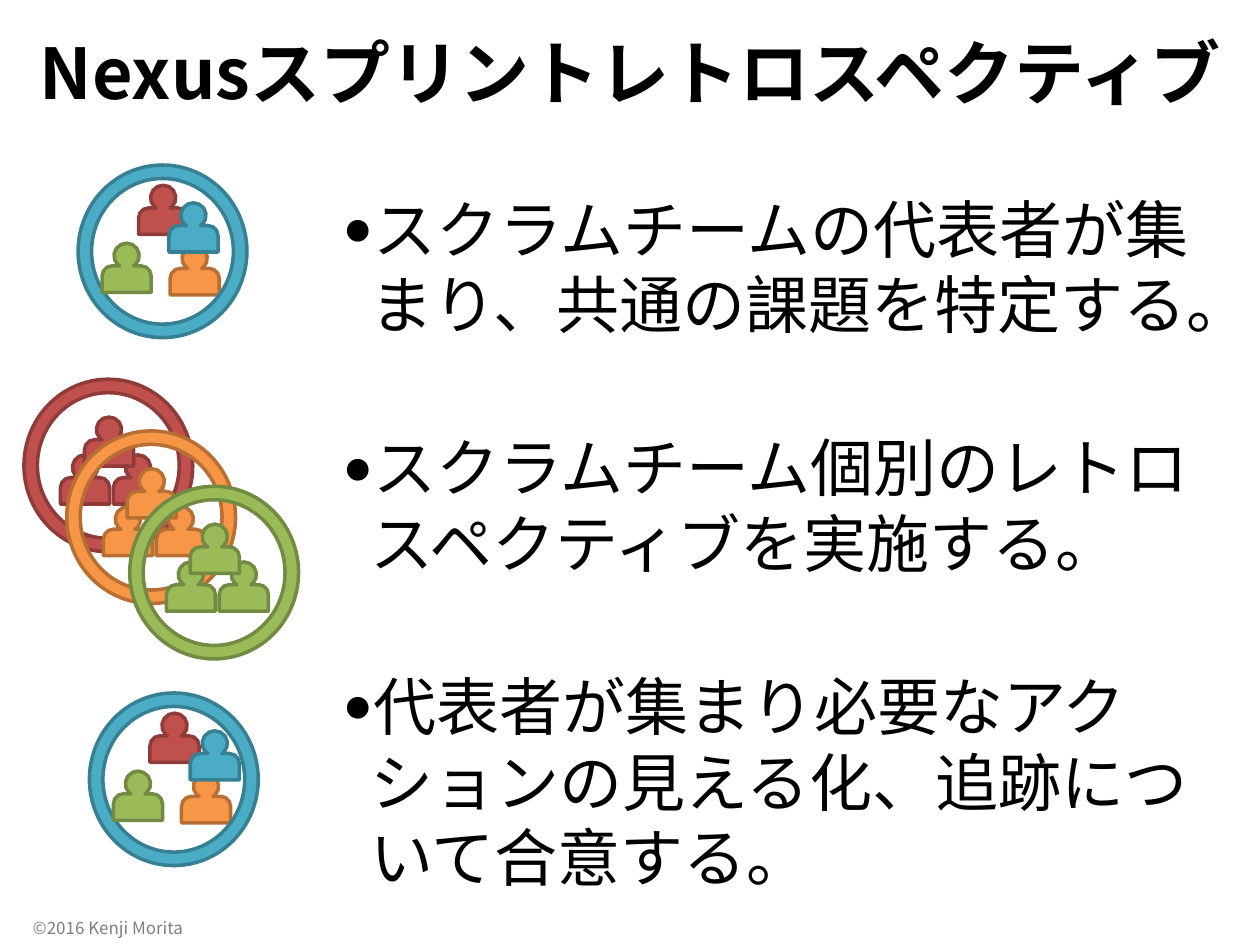
"""Build the Nexus sprint retrospective slide."""
from math import cos, radians, sin

from lxml.etree import SubElement
from pptx import Presentation
from pptx.dml.color import RGBColor
from pptx.enum.shapes import MSO_SHAPE as Shape
from pptx.enum.text import MSO_ANCHOR as Anchor, PP_ALIGN as Align
from pptx.oxml.ns import qn
from pptx.util import Inches, Pt

BLACK = RGBColor(0x00, 0x00, 0x00)
GRAY = RGBColor(0x7F, 0x7F, 0x7F)
RED = (RGBColor(0xC0, 0x50, 0x4D), RGBColor(0x8E, 0x3B, 0x39))
ORANGE = (RGBColor(0xF7, 0x96, 0x46), RGBColor(0xB7, 0x6F, 0x34))
GREEN = (RGBColor(0x9B, 0xBB, 0x59), RGBColor(0x73, 0x8A, 0x42))
BLUE = (RGBColor(0x4B, 0xAC, 0xC6), RGBColor(0x37, 0x7F, 0x92))

SIDE = 0.39
TEAM = [(0.71, 0.6), (0.48, 0.3)]
POINTS = [
    "スクラムチームの代表者が集まり、共通の課題を特定する。",
    "スクラムチーム個別のレトロスペクティブを実施する。",
    "代表者が集まり必要なアクションの見える化、追跡について合意する。",
]


def arc(x, y, r, start, end, steps):
    turns = [radians(start + (end - start) * i / steps) for i in range(steps + 1)]
    return [(x + r * cos(t), y + r * sin(t)) for t in turns]


def outline():
    mid = SIDE / 2
    right = arc(mid, 0.1, 0.1, -90, 45, 5) + [(0.25, 0.18)]
    right += arc(0.31, 0.26, 0.08, -90, 0, 3) + [(SIDE, SIDE)]
    return right + [(SIDE - x, y) for x, y in reversed(right[1:])]


class Deck:
    font = "Noto Sans CJK JP"
    edge = Pt(2)

    def __init__(self):
        self.prs = Presentation()
        self.prs.slide_width, self.prs.slide_height = Inches(10), Inches(7.5)
        self.slide = self.prs.slides.add_slide(self.prs.slide_layouts[6])

    def paint(self, shape, hue):
        shape.shadow.inherit = False
        shape.fill.solid()
        shape.fill.fore_color.rgb, shape.line.color.rgb = hue
        shape.line.width = self.edge

    def ring(self, x, y, hue):
        shape = self.slide.shapes.add_shape(
            Shape.DONUT, Inches(x), Inches(y), Inches(1.34), Inches(1.37))
        shape.adjustments[0] = 0.08
        self.paint(shape, hue)

    def person(self, x, y, hue):
        dots = [(Inches(x + dx), Inches(y + dy)) for dx, dy in outline()]
        form = self.slide.shapes.build_freeform(*dots[0], scale=1.0)
        form.add_line_segments(dots[1:], close=True)
        self.paint(form.convert_to_shape(), hue)

    def team(self, x, y, hue):
        self.person(x + 0.29, y + 0.6, hue)
        self.ring(x, y, hue)
        for dx, dy in TEAM:
            self.person(x + dx, y + dy, hue)

    def nexus(self, x, y, lead):
        self.person(x + 0.73, y + 0.64, ORANGE)
        self.ring(x, y, BLUE)
        self.person(x + 0.19, y + 0.62, GREEN)
        self.person(x + 0.48, y + 0.16, RED)
        self.person(x + lead, y + 0.3, BLUE)

    def box(self, x, y, w, h, pad, anchor, wrap=True):
        frame = self.slide.shapes.add_textbox(
            Inches(x), Inches(y), Inches(w), Inches(h)).text_frame
        frame.word_wrap, frame.vertical_anchor = wrap, anchor
        frame.margin_left = frame.margin_right = Inches(pad)
        frame.margin_top = frame.margin_bottom = Inches(min(pad, 0.04))
        return frame

    def run(self, para, text, size, color=BLACK, bold=False):
        run = para.add_run()
        run.text = text
        font = run.font
        font.name, font.size, font.bold = self.font, Pt(size), bold
        font.color.rgb = color
        SubElement(run._r.get_or_add_rPr(), qn("a:ea"), typeface=self.font)

    def bullets(self, frame, items, size):
        for i, text in enumerate(items):
            para = frame.add_paragraph() if i else frame.paragraphs[0]
            if i:
                para.space_before = Pt(50)
            props = para._p.get_or_add_pPr()
            props.set("marL", str(Inches(0.22)))
            props.set("indent", str(Inches(-0.24)))
            props.set("hangingPunct", "1")
            SubElement(props, qn("a:buSzPct"), val="80000")
            SubElement(props, qn("a:buFont"), typeface="Arial")
            SubElement(props, qn("a:buChar"), char="●")
            self.run(para, text, size)


def main():
    deck = Deck()
    foot = deck.box(0.26, 7.28, 1.3, 0.16, 0, Anchor.MIDDLE, wrap=False)
    deck.run(foot.paragraphs[0], "©2016 Kenji Morita", 9.7, GRAY)

    head = deck.box(0, 0.03, 10, 1.08, 0.04, Anchor.MIDDLE).paragraphs[0]
    head.alignment = Align.CENTER
    deck.run(head, "Nexusスプリントレトロスペクティブ", 40, bold=True)

    for x, y, hue in [(0.19, 3.01, RED), (0.53, 3.42, ORANGE), (1.03, 3.86, GREEN)]:
        deck.team(x, y, hue)
    for x, y, lead in [(0.71, 5.5, 0.8), (0.62, 1.31, 0.72)]:
        deck.nexus(x, y, lead)

    body = deck.box(2.65, 1.47, 7.12, 5.92, 0.07, Anchor.TOP)
    deck.bullets(body, POINTS, 36)
    deck.prs.save("out.pptx")


if __name__ == "__main__":
    main()
